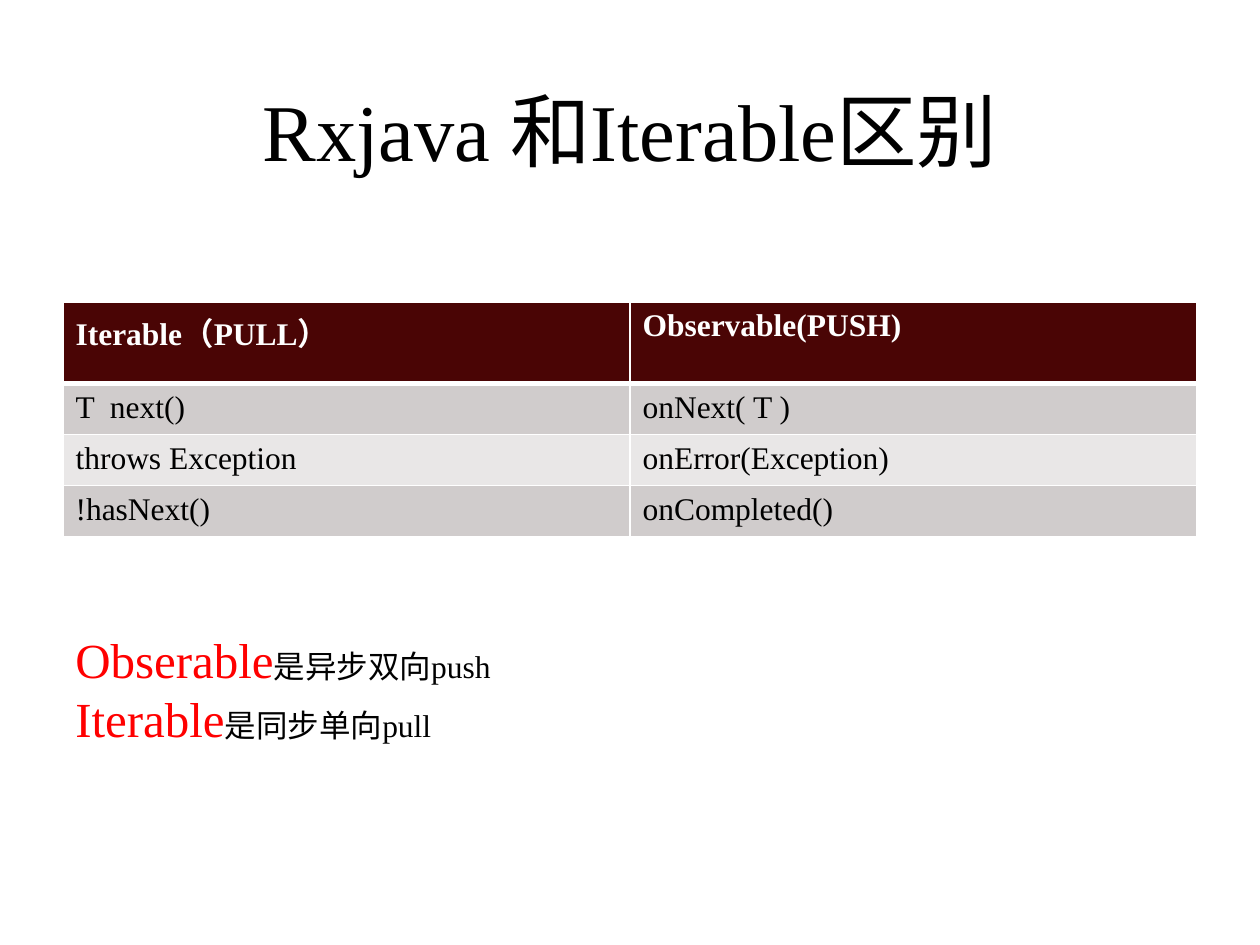
from lxml import etree
from pptx import Presentation
from pptx import util as u
from pptx.dml.color import RGBColor
from pptx.enum import text
from pptx.oxml import ns

FONT = "Times New Roman"
WHITE, BLACK, RED = "FFFFFF", "000000", "FF0000"
MAROON, BAND_DARK, BAND_LIGHT = "4A0505", "D0CCCC", "E9E7E7"


def color(hex_value):
    return RGBColor.from_string(hex_value)


class Deck:
    """Holds the style and the slide; lengths are shares of the slide size."""

    def __init__(self, width, height):
        self.prs = Presentation()
        self.prs.slide_width, self.prs.slide_height = u.Inches(width), u.Inches(height)
        self.slide = self.prs.slides.add_slide(self.prs.slide_layouts[6])

    def across(self, share):
        return round(self.prs.slide_width * share)

    def down(self, share):
        return round(self.prs.slide_height * share)

    def style(self, font, size, ink, bold=False):
        font.name, font.size, font.bold = FONT, u.Pt(size), bold
        font.color.rgb = color(ink)

    def text(self, x, y, w, h, lines, align=text.PP_ALIGN.LEFT,
             anchor=text.MSO_ANCHOR.TOP):
        """Each line is a list of (words, size, colour)."""
        frame = self.slide.shapes.add_textbox(
            self.across(x), self.down(y), self.across(w), self.down(h)).text_frame
        frame.word_wrap, frame.vertical_anchor = True, anchor
        for i, line in enumerate(lines):
            paragraph = frame.paragraphs[0] if i == 0 else frame.add_paragraph()
            paragraph.alignment = align
            for words, size, ink in line:
                run = paragraph.add_run()
                run.text = words
                self.style(run.font, size, ink)

    def borders(self, cell, **widths):
        props = cell._tc.get_or_add_tcPr()
        for i, side in enumerate("LRTB"):
            line = etree.Element(ns.qn(f"a:ln{side}"), w=str(u.Pt(widths.get(side, 1))))
            fill = etree.SubElement(line, ns.qn("a:solidFill"))
            etree.SubElement(fill, ns.qn("a:srgbClr"), val=WHITE)
            props.insert(i, line)

    def table(self, x, y, w, header_h, row_h, rows):
        height = header_h + row_h * (len(rows) - 1)
        grid = self.slide.shapes.add_table(
            len(rows), len(rows[0]), self.across(x), self.down(y),
            self.across(w), self.down(height)).table
        for r, row in enumerate(rows):
            header = r == 0
            grid.rows[r].height = self.down(header_h if header else row_h)
            band = MAROON if header else BAND_DARK if r % 2 else BAND_LIGHT
            for c, words in enumerate(row):
                cell = grid.cell(r, c)
                cell.text = words
                self.style(cell.text_frame.paragraphs[0].font, 18,
                           WHITE if header else BLACK, header)
                cell.fill.solid()
                cell.fill.fore_color.rgb = color(band)
                self.borders(cell, T=3 if r == 1 else 1, B=3 if header else 1)


def main():
    deck = Deck(10, 7.5)

    # Title
    deck.text(0.1, 0.073, 0.8, 0.127, [[("Rxjava 和Iterable区别", 46, BLACK)]],
              text.PP_ALIGN.CENTER, text.MSO_ANCHOR.MIDDLE)

    # Pull and push compared
    deck.table(0.05, 0.32, 0.9, 0.086, 0.054, [
        ("Iterable（PULL）", "Observable(PUSH)"),
        ("T  next()", "onNext( T )"),
        ("throws Exception", "onError(Exception)"),
        ("!hasNext()", "onCompleted()"),
    ])

    # Summary
    summary = [("Obserable", "是异步双向push"), ("Iterable", "是同步单向pull")]
    deck.text(0.05, 0.66, 0.763, 0.139,
              [[(term, 28, RED), (meaning, 18, BLACK)] for term, meaning in summary])

    deck.prs.save("out.pptx")


if __name__ == "__main__":
    main()
